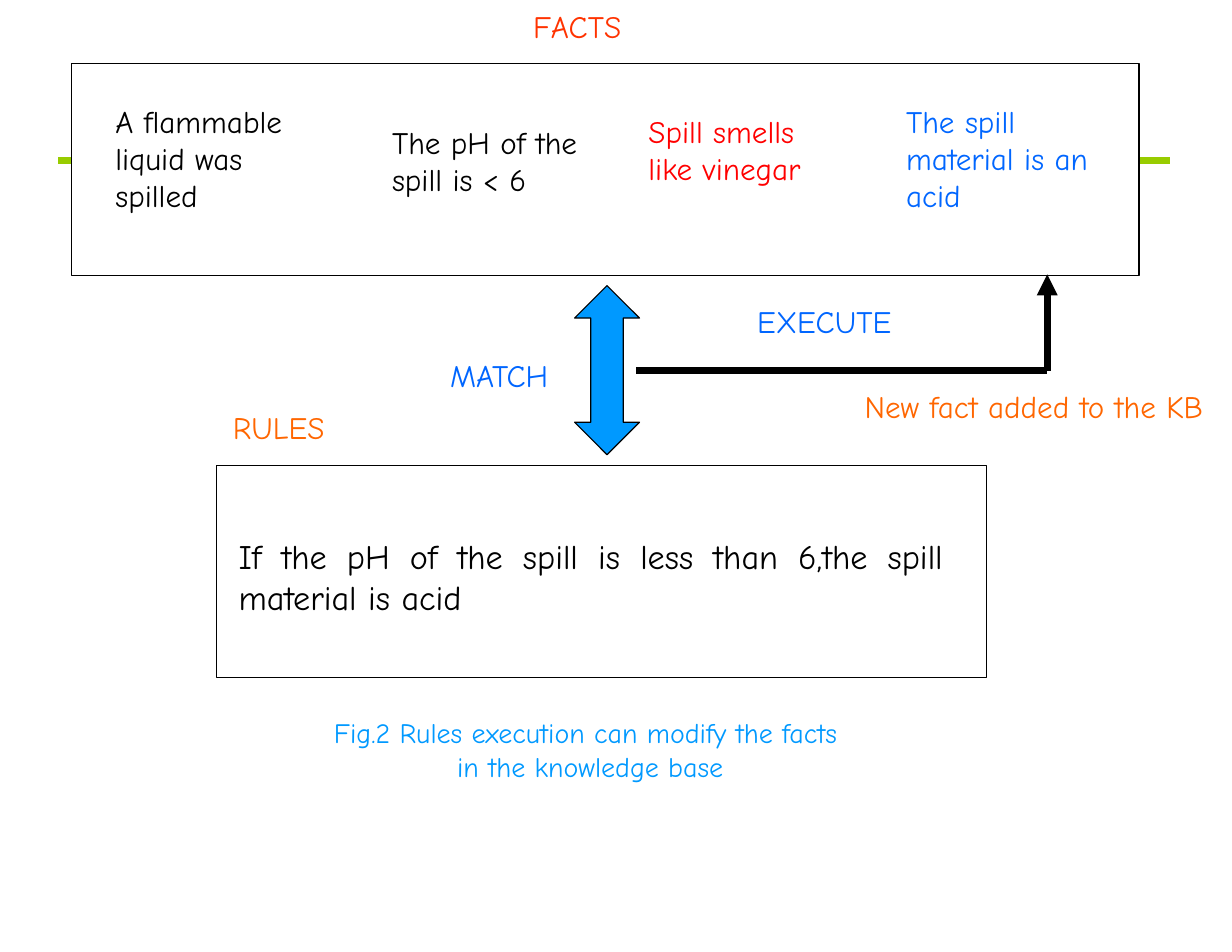
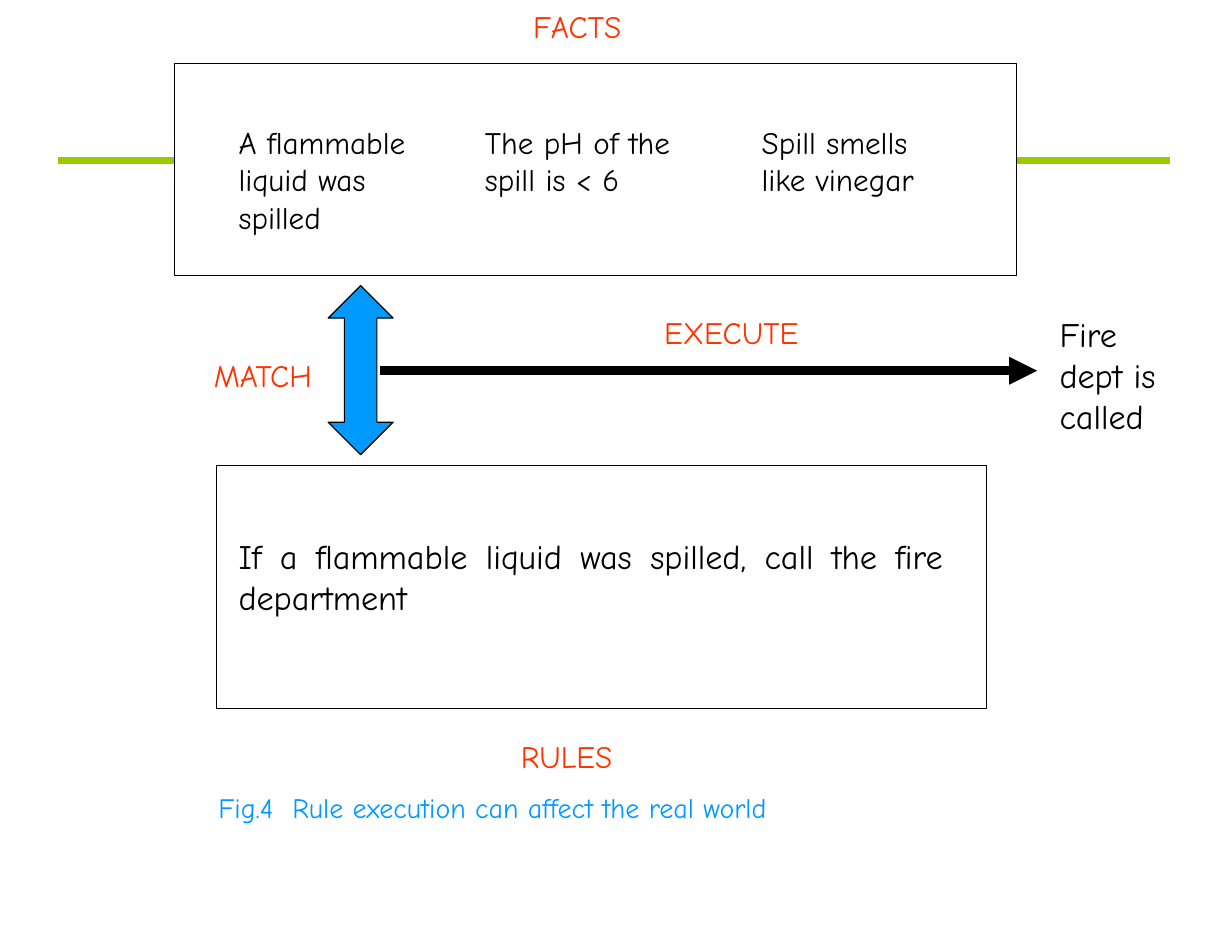
from collections import namedtuple

from lxml.etree import SubElement
from pptx import Presentation
from pptx.dml.color import RGBColor
from pptx.enum.shapes import MSO_CONNECTOR, MSO_SHAPE
from pptx.enum.text import MSO_AUTO_SIZE, PP_ALIGN
from pptx.oxml.ns import qn
from pptx.util import Inches, Pt

BLACK = RGBColor(0x00, 0x00, 0x00)
WHITE = RGBColor(0xFF, 0xFF, 0xFF)
RED = RGBColor(0xFF, 0x00, 0x00)
VERMILION = RGBColor(0xFF, 0x33, 0x00)
ORANGE = RGBColor(0xFF, 0x66, 0x00)
BLUE = RGBColor(0x00, 0x66, 0xFF)
SKY = RGBColor(0x00, 0x99, 0xFF)
GREEN = RGBColor(0x98, 0xCC, 0x00)

FONT = "Comic Neue"
MARGINS = {
    "margin_left": Inches(0.11),
    "margin_right": Inches(0.11),
    "margin_top": Inches(0.06),
    "margin_bottom": Inches(0.06),
}
FACT_WIDTH = 1.85
WIDE_FACT_WIDTH = 2.11
CAPTION_TAB = 0.66

Box = namedtuple("Box", "left top width height")
Fact = namedtuple("Fact", "text left top width lines color")


def set_values(target, values):
    for name, value in values.items():
        setattr(target, name, value)


def add_text(page, box, lines, size=20, color=BLACK, align=PP_ALIGN.LEFT, wrap=True, tab=None):
    frame = page.shapes.add_textbox(*map(Inches, box)).text_frame
    set_values(frame, MARGINS | {"word_wrap": wrap, "auto_size": MSO_AUTO_SIZE.SHAPE_TO_FIT_TEXT})
    for index, line in enumerate(lines):
        para = frame.add_paragraph() if index else frame.paragraphs[0]
        if tab:
            stops = SubElement(para._p.get_or_add_pPr(), qn("a:tabLst"))
            SubElement(stops, qn("a:tab"), pos=str(Inches(tab)), algn="l")
        para.alignment = align
        span = para.add_run()
        span.text = line
        set_values(span.font, {"name": FONT, "size": Pt(size)})
        span.font.color.rgb = color


def add_label(page, left, top, width, text, color):
    add_text(page, Box(left, top, width, 0.45), [text], color=color, wrap=False)


def add_outlined(page, kind, box, fill):
    shape = page.shapes.add_shape(kind, *map(Inches, box))
    shape.shadow.inherit = False
    shape.fill.solid()
    shape.fill.fore_color.rgb = fill
    shape.line.color.rgb = BLACK
    shape.line.width = Pt(0.75)
    return shape


def add_line(page, start, end, color=BLACK, width=4.5, arrow=False):
    line = page.shapes.add_connector(MSO_CONNECTOR.STRAIGHT, *map(Inches, start + end))
    line.line.color.rgb = color
    line.line.width = Pt(width)
    if arrow:
        SubElement(line.line._get_or_add_ln(), qn("a:tailEnd"), type="triangle")
    SubElement(line._element.spPr, qn("a:effectLst"))


def add_page(deck):
    page = deck.slides.add_slide(deck.slide_layouts[6])
    add_line(page, (0.52, 1.43), (10.45, 1.43), GREEN, 4.45)
    return page


def add_facts(page, box, facts):
    add_outlined(page, MSO_SHAPE.RECTANGLE, box, WHITE)
    add_label(page, 4.65, box.top - 0.56, 1.02, "FACTS", VERMILION)
    for fact in facts:
        height = 0.12 + 0.33 * fact.lines
        area = Box(box.left + fact.left, box.top + fact.top, fact.width, height)
        add_text(page, area, [fact.text], color=fact.color)


def add_rule(page, box, rule):
    add_outlined(page, MSO_SHAPE.RECTANGLE, box, WHITE)
    area = Box(box.left + 0.09, box.top + 0.56, box.width - 0.37, 0.85)
    add_text(page, area, [rule], size=22, align=PP_ALIGN.JUSTIFY)


def add_match(page, box, color, label_gap):
    arrow = add_outlined(page, MSO_SHAPE.UP_DOWN_ARROW, box, SKY)
    arrow.adjustments[0] = 0.5
    arrow.adjustments[1] = 0.5
    add_label(page, box.left - label_gap, box.top + 0.57, 1.14, "MATCH", color)


def add_new_fact_page(deck):
    page = add_page(deck)
    add_facts(page, Box(0.64, 0.57, 9.53, 1.89), [
        Fact("A flammable liquid was spilled", 0.28, 0.28, FACT_WIDTH, 3, BLACK),
        Fact("The pH of the spill is < 6", 2.75, 0.47, WIDE_FACT_WIDTH, 2, BLACK),
        Fact("Spill smells like vinegar", 5.04, 0.37, FACT_WIDTH, 2, RED),
        Fact("The spill material is an acid", 7.34, 0.28, FACT_WIDTH, 3, BLUE),
    ])
    add_rule(page, Box(1.93, 4.16, 6.88, 1.89),
             "If the pH of the spill is less than 6,the spill material is acid")
    add_match(page, Box(5.13, 2.55, 0.58, 1.51), BLUE, 1.22)
    corner = (9.35, 3.31)
    add_line(page, (5.68, 3.31), corner)
    add_line(page, corner, (9.35, 2.45), arrow=True)
    add_label(page, 6.65, 2.64, 1.43, "EXECUTE", BLUE)
    add_label(page, 1.97, 3.59, 1.04, "RULES", ORANGE)
    add_label(page, 7.61, 3.4, 3.26, "New fact added to the KB", ORANGE)
    add_text(page, Box(0, 6.33, 10.54, 0.71),
             ["Fig.2 Rules execution can modify the facts ", "in the knowledge base"],
             size=18, color=SKY, align=PP_ALIGN.CENTER)


def add_real_world_page(deck):
    page = add_page(deck)
    add_facts(page, Box(1.56, 0.57, 7.52, 1.89), [
        Fact("A flammable liquid was spilled", 0.46, 0.47, FACT_WIDTH, 3, BLACK),
        Fact("The pH of the spill is < 6", 2.66, 0.47, WIDE_FACT_WIDTH, 2, BLACK),
        Fact("Spill smells like vinegar", 5.13, 0.47, FACT_WIDTH, 2, BLACK),
    ])
    add_rule(page, Box(1.93, 4.16, 6.88, 2.17),
             "If a flammable liquid was spilled, call the fire department")
    add_match(page, Box(2.93, 2.55, 0.58, 1.51), VERMILION, 1.13)
    add_label(page, 5.82, 2.74, 1.43, "EXECUTE", VERMILION)
    add_label(page, 4.54, 6.52, 1.04, "RULES", VERMILION)
    add_line(page, (3.39, 3.31), (9.26, 3.31), width=6, arrow=True)
    add_text(page, Box(9.35, 2.74, 1.12, 1.21), ["Fire dept is called"], size=22)
    add_text(page, Box(1.84, 7, 5.5, 0.41),
             ["Fig.4\tRule execution can affect the real world"],
             size=18, color=SKY, tab=CAPTION_TAB)


def main():
    deck = Presentation()
    deck.slide_width = Inches(11)
    deck.slide_height = Inches(8.5)
    add_new_fact_page(deck)
    add_real_world_page(deck)
    deck.save("out.pptx")


if __name__ == "__main__":
    main()
